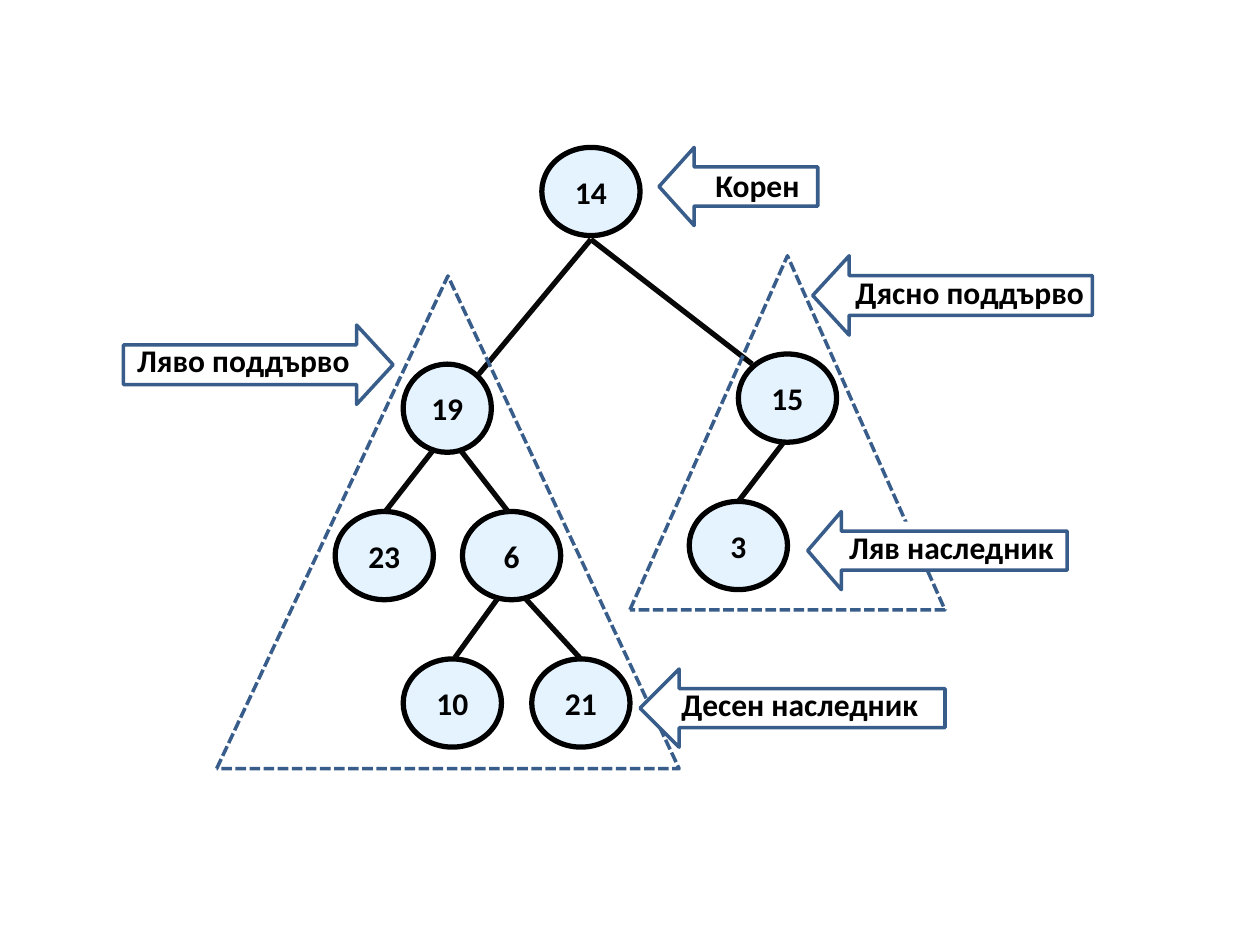
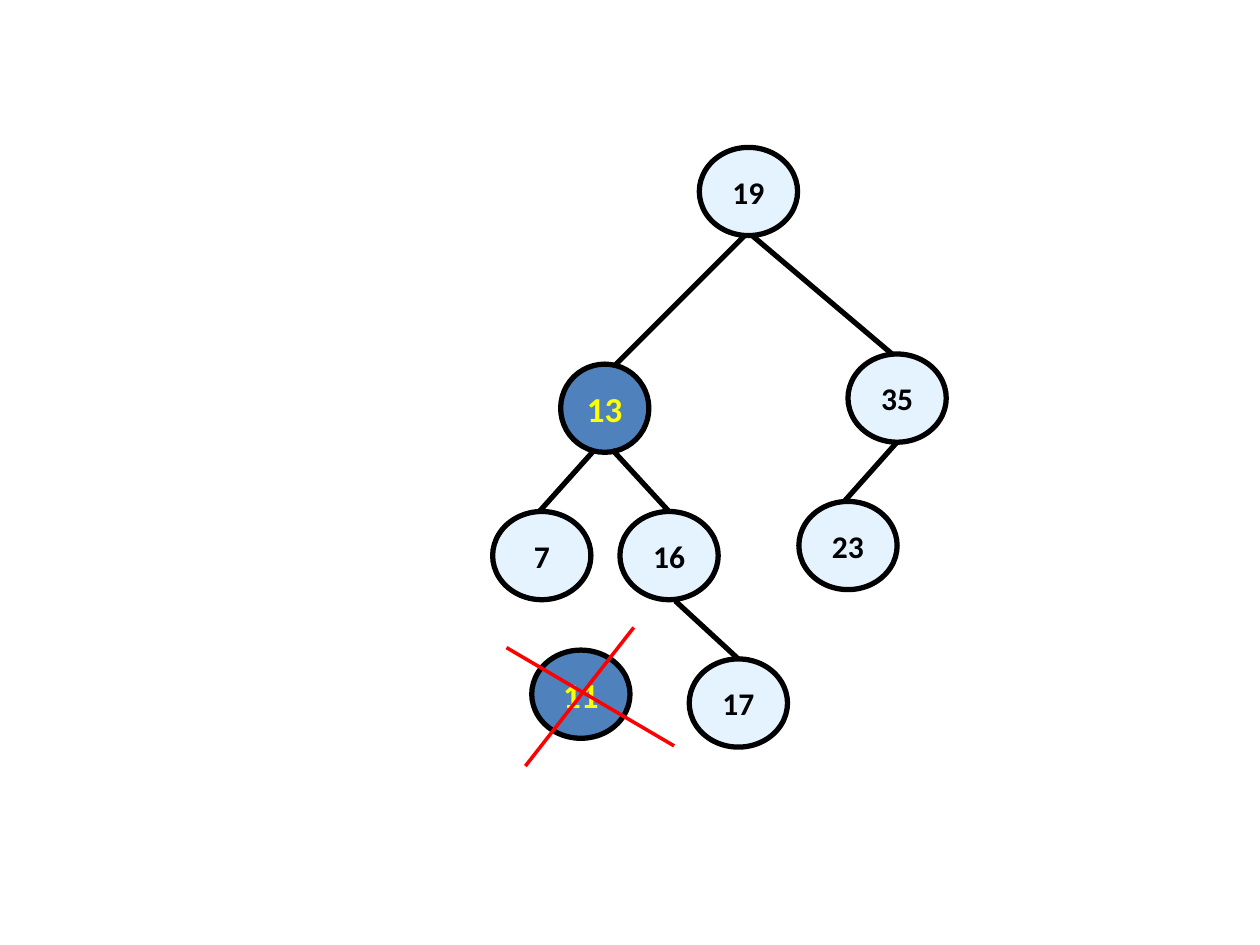
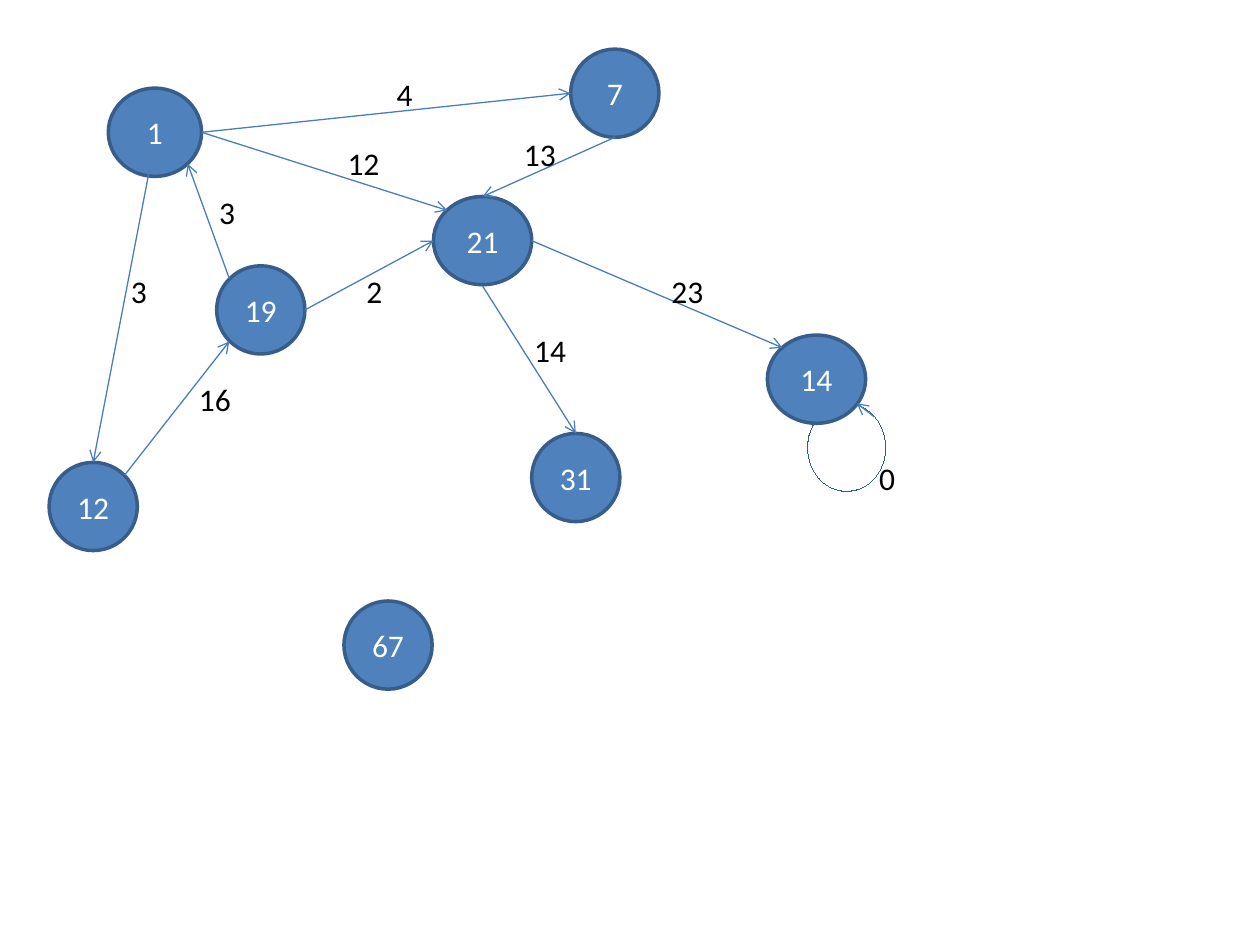
"""Draw a labelled binary tree, a search tree with a removal, and a weighted graph."""
from lxml.etree import SubElement
from pptx import Presentation
from pptx.dml.color import RGBColor
from pptx.enum.dml import MSO_LINE as Dash
from pptx.enum.shapes import MSO_CONNECTOR as Link, MSO_SHAPE as Kind
from pptx.enum.text import MSO_ANCHOR as Anchor, MSO_AUTO_SIZE as Auto, PP_ALIGN as Align
from pptx.oxml.ns import qn
from pptx.util import Inches, Pt

BLACK, WHITE, RED, YELLOW = "000000", "FFFFFF", "FF0000", "FFFF00"
PALE, BLUE, NAVY, EDGE, INK = "E5F3FF", "4F81BD", "385D8A", "4A7EBB", "080808"
WIDE, ROUND, TALL = 0.78, 0.7, 0.7
HAIR = 0.01

PLAIN = {"name": "Calibri", "size": Pt(18), "bold": False}
BOLD = {**PLAIN, "bold": True}
BIG = {**BOLD, "size": Pt(20)}

TREE = {"fill": PALE, "line": BLACK, "weight": 3, "ink": BLACK, "font": BOLD}
MARK = {**TREE, "fill": BLUE, "ink": YELLOW, "font": BIG}
GRAPH = {"fill": BLUE, "line": NAVY, "weight": 2, "ink": WHITE, "font": PLAIN}

PARTS = [
    ("19", 3.2, 2.89, ROUND), ("15", 5.86, 2.81, WIDE), ("3", 5.47, 3.98, WIDE),
    ("23", 2.66, 4.06, WIDE), ("6", 3.67, 4.06, WIDE), ("14", 4.3, 1.17, WIDE),
    ("10", 3.2, 5.23, WIDE), ("21", 4.22, 5.23, WIDE),
]
LIMBS = [
    (5.86, 3.98, 6.22, 3.51), (3.05, 4.07, 3.44, 3.57), (3.66, 3.58, 4.04, 4.07),
    (3.8, 2.97, 4.69, 1.9), (4.69, 1.9, 5.97, 2.89), (3.61, 5.22, 3.95, 4.75),
    (4.17, 4.75, 4.61, 5.23),
]
SUBTREES = [(1.72, 2.19, 3.67, 3.91), (5, 2.03, 2.5, 2.81)]
CALLS = [
    ("Корен", (5.58, 1.27, 0.9, 0.4), (5.23, 1.17, 1.26, 0.62), 180, 0.45, None, None),
    ("Дясно поддърво", (6.69, 2.12, 2.05, 0.4), (6.45, 2.03, 2.22, 0.63), 180, 0.46, None, None),
    ("Ляво поддърво", (0.99, 2.66, 1.92, 0.4), (0.98, 2.58, 2.14, 0.63), 0, 0.46, None, None),
    ("Ляв наследник", (6.64, 4.14, 1.83, 0.4), (6.41, 4.06, 2.06, 0.62), 180, 0.43, WHITE, None),
    ("Десен наследник", (5.31, 5.39, 2.1, 0.4), (5.08, 5.31, 2.42, 0.62), 180, 0.5, None, WHITE),
]

KEYS = [
    ("35", 6.73, 2.81, WIDE), ("23", 6.34, 3.98, WIDE), ("7", 3.91, 4.06, WIDE),
    ("16", 4.92, 4.06, WIDE), ("19", 5.55, 1.17, WIDE), ("17", 5.47, 5.23, WIDE),
]
MARKED = [("13", 4.45, 2.89, ROUND), ("11", 4.22, 5.16, WIDE)]
STEMS = [
    (6.7, 3.98, 7.11, 3.52), (4.28, 4.06, 4.71, 3.58), (4.86, 3.57, 5.31, 4.06),
    (4.88, 2.9, 5.91, 1.87), (5.97, 1.87, 7.08, 2.81), (5.36, 4.77, 5.86, 5.23),
]
CROSS = [(4.02, 5.14, 5.35, 5.92), (5.03, 4.98, 4.17, 6.08)]

LOOP = (6.41, 3.2, 0.62, 0.7)
POINTS = [
    ("7", 4.53, 0.39, ROUND), ("19", 1.72, 2.11, ROUND), ("21", 3.44, 1.56, WIDE),
    ("14", 6.09, 2.66, WIDE), ("1", 0.86, 0.7, 0.74), ("12", 0.39, 3.67, ROUND),
    ("31", 4.22, 3.44, ROUND), ("67", 2.73, 4.77, ROUND),
]
ARCS = [
    (1.6, 1.05, 4.53, 0.74), (2.42, 2.46, 3.44, 1.91), (4.88, 1.09, 3.83, 1.56),
    (3.83, 2.27, 4.57, 3.44), (4.22, 1.91, 6.21, 2.76), (1.6, 1.05, 3.55, 1.67),
    (1.82, 2.21, 1.49, 1.3), (0.99, 3.77, 1.82, 2.71), (1.19, 1.33, 0.74, 3.67),
    (6.94, 3.31, 6.8, 3.2),
]
COSTS = [
    ("4", 3.05, 0.55, 0.23), ("13", 4.06, 1.02, 0.55), ("12", 2.66, 1.09, 0.55),
    ("3", 1.64, 1.48, 0.23), ("2", 2.81, 2.11, 0.39), ("14", 4.14, 2.58, 0.55),
    ("23", 5.23, 2.11, 0.55), ("3", 0.94, 2.11, 0.23), ("16", 1.48, 2.97, 0.47),
    ("0", 6.88, 3.59, 0.23),
]


def tint(code):
    return RGBColor.from_string(code)


def paint(shape, fill):
    if fill:
        shape.fill.solid()
        shape.fill.fore_color.rgb = tint(fill)
    else:
        shape.fill.background()


def stroke(line, color, weight):
    line.color.rgb = tint(color)
    line.width = Pt(weight)


def write(frame, text, font, ink, align):
    para = frame.paragraphs[0]
    para.alignment = align
    run = para.add_run()
    run.text = text
    for key, value in font.items():
        setattr(run.font, key, value)
    run.font.color.rgb = tint(ink)


def draw(slide, kind, box, fill, line, weight):
    shape = slide.shapes.add_shape(kind, *map(Inches, box))
    shape.shadow.inherit = False
    paint(shape, fill)
    stroke(shape.line, line, weight)
    return shape


def nodes(slide, items, look):
    for text, left, top, width in items:
        box = (left, top, width, TALL)
        shape = draw(slide, Kind.OVAL, box, look["fill"], look["line"], look["weight"])
        frame = shape.text_frame
        frame.vertical_anchor = Anchor.MIDDLE
        write(frame, text, look["font"], look["ink"], Align.CENTER)


def links(slide, items, color, weight, tip=False):
    for ends in items:
        link = slide.shapes.add_connector(Link.STRAIGHT, *map(Inches, ends))
        stroke(link.line, color, weight)
        if tip:
            SubElement(link.line._get_or_add_ln(), qn("a:tailEnd"), type="arrow")
        SubElement(link._element.spPr, qn("a:effectLst"))


def label(slide, text, box, font, wrap, fill=None):
    shape = slide.shapes.add_textbox(*map(Inches, box))
    paint(shape, fill)
    frame = shape.text_frame
    frame.word_wrap = wrap
    frame.auto_size = Auto.SHAPE_TO_FIT_TEXT
    write(frame, text, font, BLACK, Align.LEFT)


def parts(slide):
    nodes(slide, PARTS, TREE)
    links(slide, LIMBS, INK, 3)
    for box in SUBTREES:
        draw(slide, Kind.ISOSCELES_TRIANGLE, box, None, NAVY, 2).line.dash_style = Dash.SQUARE_DOT
    for text, box, place, turn, head, back, fill in CALLS:
        if not fill:
            label(slide, text, box, BOLD, False, back)
        arrow = draw(slide, Kind.RIGHT_ARROW, place, fill, NAVY, 2)
        arrow.rotation = turn
        arrow.adjustments[1] = head
        if fill:
            label(slide, text, box, BOLD, False, back)


def removal(slide):
    nodes(slide, KEYS, TREE)
    nodes(slide, MARKED, MARK)
    links(slide, STEMS, BLACK, 3)
    links(slide, CROSS, RED, 2)


def graph(slide):
    draw(slide, Kind.OVAL, LOOP, None, NAVY, HAIR)
    nodes(slide, POINTS, GRAPH)
    links(slide, ARCS, EDGE, 0.75, True)
    for text, left, top, width in COSTS:
        label(slide, text, (left, top, width, 0.4), PLAIN, True)


def main():
    deck = Presentation()
    deck.slide_width, deck.slide_height = Inches(10), Inches(7.5)
    for build in (parts, removal, graph):
        build(deck.slides.add_slide(deck.slide_layouts[6]))
    deck.save("out.pptx")


if __name__ == "__main__":
    main()
